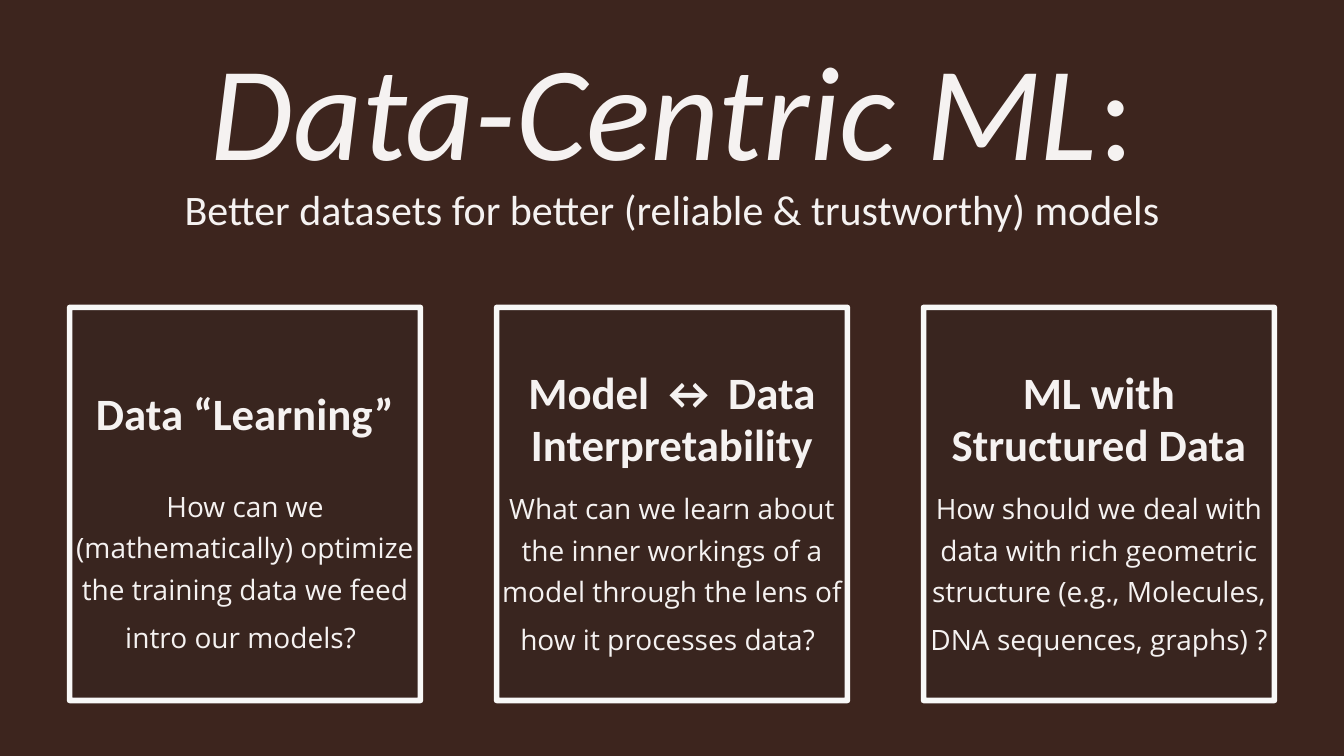
from dataclasses import dataclass

from lxml import etree
from pptx import Presentation
from pptx.dml.color import RGBColor
from pptx.enum.shapes import MSO_SHAPE
from pptx.enum.text import MSO_ANCHOR, MSO_AUTO_SIZE, PP_ALIGN
from pptx.oxml.ns import qn
from pptx.util import Inches, Pt

RECTANGLE = MSO_SHAPE.RECTANGLE
TOP, MIDDLE = MSO_ANCHOR.TOP, MSO_ANCHOR.MIDDLE
NO_AUTOFIT = MSO_AUTO_SIZE.NONE
CENTER = PP_ALIGN.CENTER

COLORS = {"background": "3D251E", "card": "392620", "border": "FFFFFF", "text": "F5F2F1"}
HEADING_FONT, BODY_FONT = "Calibri", "Open Sans"
CARD_LEFT, CARD_TOP, CARD_PITCH = 0.69, 3.05, 4.235
CARD_WIDTH, CARD_HEIGHT = 3.48, 3.9


@dataclass
class Card:
    """A research theme with its guiding question."""
    heading: str
    question: str
    top_inset: float = 0.6
    question_gap: float = 8.5


CARDS = [
    Card("Data “Learning”",
         "How can we (mathematically) optimize the training data we feed intro our models?",
         0.81, 29),
    Card("Model ↔ Data Interpretability",
         "What can we learn about the inner workings of a model through the lens of "
         "how it processes data?"),
    Card("ML with Structured Data",
         "How should we deal with data with rich geometric structure "
         "(e.g., Molecules, DNA sequences, graphs) ?"),
]


def rgb(name: str) -> RGBColor:
    """Return the named colour."""
    return RGBColor.from_string(COLORS[name])


def add_run(p, text: str, size: float, font: str, bold: bool = False, italic: bool = False) -> None:
    """Append a formatted run to a paragraph."""
    r = p.add_run()
    r.text = text
    r.font.size = Pt(size)
    r.font.name = font
    r.font.bold = bold
    r.font.italic = italic
    r.font.color.rgb = rgb("text")


def set_frame(tf, anchor, inset: float, top_inset: float) -> None:
    """Set wrapping, anchor and insets of a text frame."""
    tf.word_wrap = True
    tf.auto_size = NO_AUTOFIT
    tf.vertical_anchor = anchor
    tf.margin_left = tf.margin_right = tf.margin_bottom = Inches(inset)
    tf.margin_top = Inches(top_inset)


def add_title(slide) -> None:
    """Fill the title placeholder with the title and its tagline."""
    sp = slide.shapes.title
    sp.left, sp.top, sp.width, sp.height = map(Inches, (0.83, 0.26, 11.68, 2.25))
    set_frame(sp.text_frame, MIDDLE, 0.08, 0.08)
    p = sp.text_frame.paragraphs[0]
    p.alignment = CENTER
    p.line_spacing = 0.9
    add_run(p, "Data-Centric ML", 96, HEADING_FONT, italic=True)
    add_run(p, ":", 96, HEADING_FONT)
    p.add_line_break()
    add_run(p, "Better datasets for better (reliable & trustworthy) models", 30, HEADING_FONT)


def add_card(slide, card: Card, left: float) -> None:
    """Draw one bordered card with heading and question."""
    sp = slide.shapes.add_shape(RECTANGLE, Inches(left), Inches(CARD_TOP),
                                Inches(CARD_WIDTH), Inches(CARD_HEIGHT))
    sp.shadow.inherit = False
    sp.fill.solid()
    sp.fill.fore_color.rgb = rgb("card")
    sp.line.color.rgb = rgb("border")
    sp.line.width = Pt(4)
    for color in sp._element.spPr.iter(qn("a:srgbClr")):
        etree.SubElement(color, qn("a:alpha")).set("val", "97000")
    tf = sp.text_frame
    set_frame(tf, TOP, 0.04, card.top_inset)
    p = tf.paragraphs[0]
    p.alignment = CENTER
    p.line_spacing = 0.97
    add_run(p, card.heading, 32, HEADING_FONT, bold=True)
    p = tf.add_paragraph()
    p.alignment = CENTER
    p.line_spacing = 1.23
    p.space_before = Pt(card.question_gap)
    add_run(p, card.question, 20, BODY_FONT)
    add_run(p, " ", 24, BODY_FONT)


def main() -> None:
    """Build and save the slide."""
    prs = Presentation()
    prs.slide_width, prs.slide_height = Inches(13.33), Inches(7.5)
    slide = prs.slides.add_slide(prs.slide_layouts[5])
    slide.background.fill.solid()
    slide.background.fill.fore_color.rgb = rgb("background")
    add_title(slide)
    for i, card in enumerate(CARDS):
        add_card(slide, card, CARD_LEFT + i * CARD_PITCH)
    prs.save("out.pptx")


if __name__ == "__main__":
    main()
